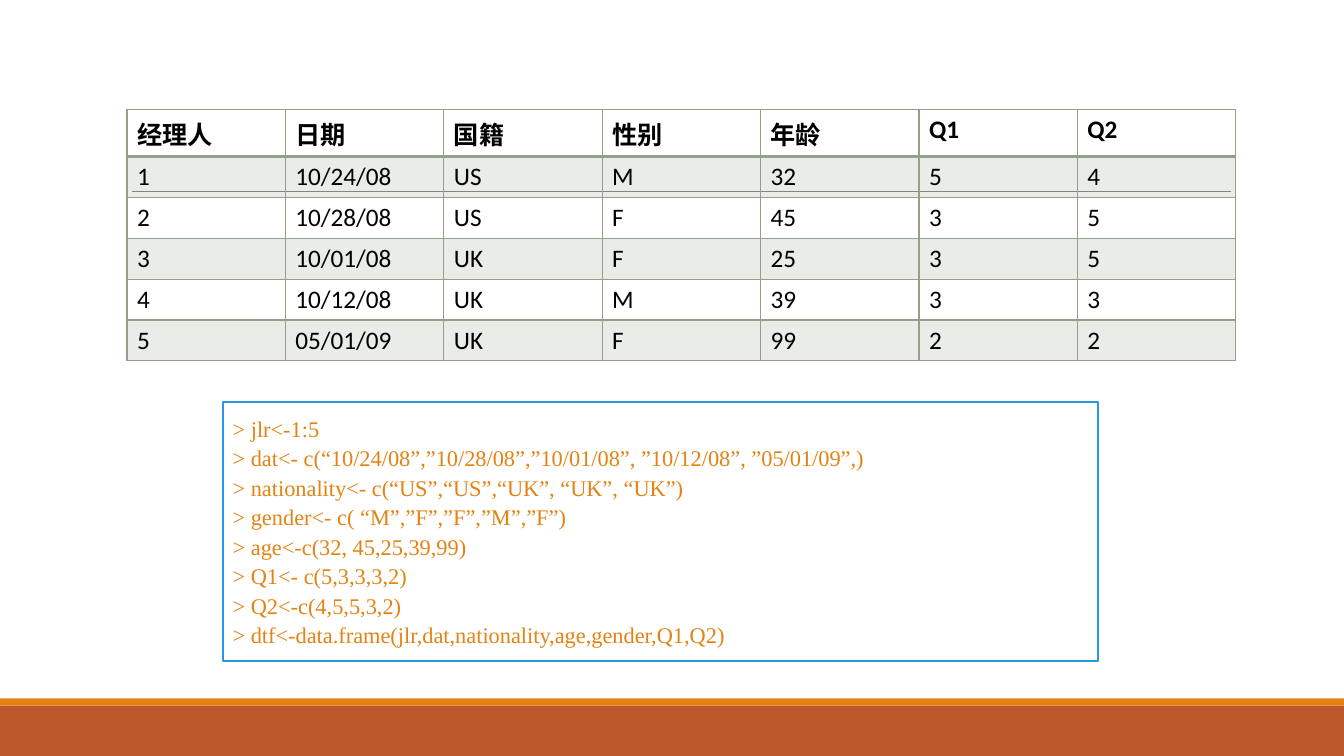
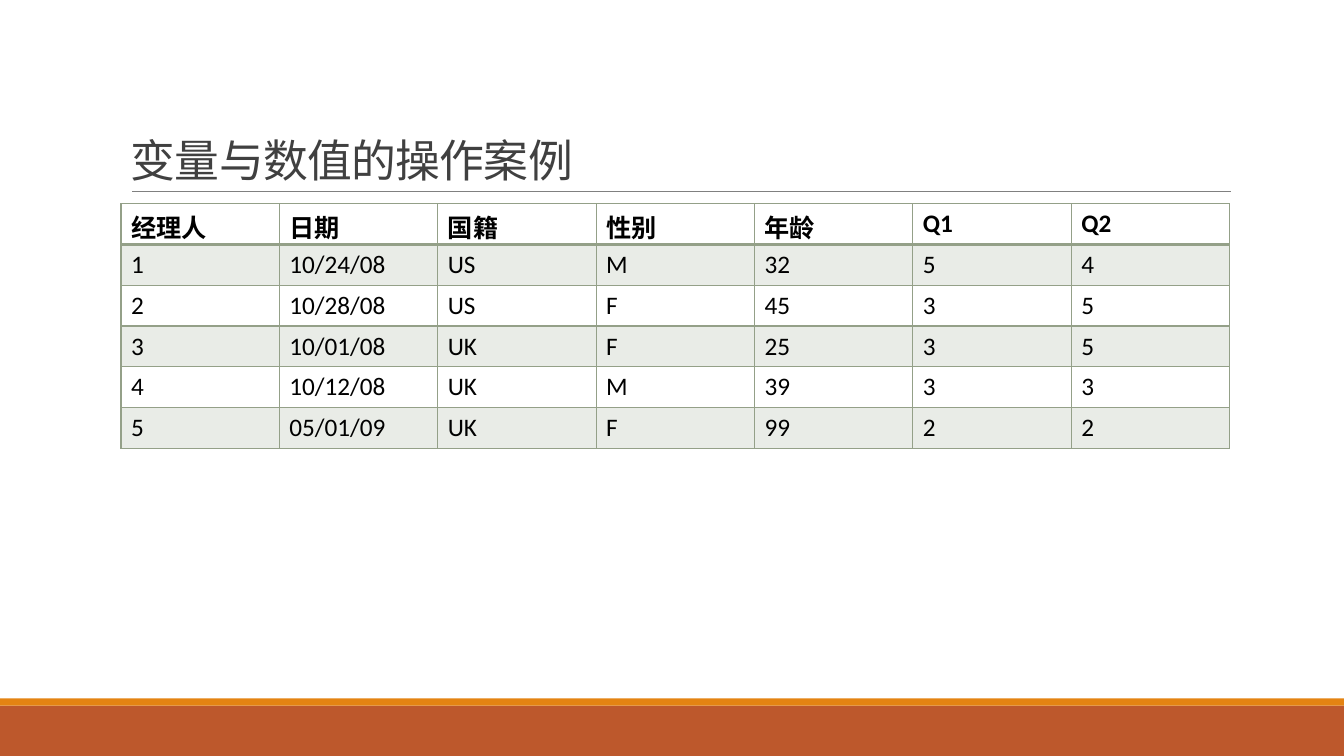
"""Build two slides on entering a small survey table in R."""
from dataclasses import dataclass
from typing import Any

from lxml import etree
from pptx import Presentation
from pptx.dml.color import RGBColor
from pptx.enum.shapes import MSO_CONNECTOR, MSO_SHAPE
from pptx.enum.text import MSO_ANCHOR, PP_ALIGN
from pptx.oxml.ns import qn
from pptx.util import Inches, Pt

RECTANGLE = MSO_SHAPE.RECTANGLE
STRAIGHT = MSO_CONNECTOR.STRAIGHT
TOP, BOTTOM = MSO_ANCHOR.TOP, MSO_ANCHOR.BOTTOM
LEFT = PP_ALIGN.LEFT

GRID_STEP = Inches(0.1)
SLIDE_COLUMNS, SLIDE_ROWS = 133.33, 75
BLANK_LAYOUT = 6
PLAIN_TABLE_STYLE = "{2D5ABB26-0587-4C30-8999-92F81FD0307C}"

RUST, ORANGE, SAGE, BLUE = "BD582C", "E48312", "94A088", "2998E3"
BLACK, CHARCOAL, GREY = "000000", "404040", "808080"
BODY_FONT, CODE_FONT = "Calibri", "Times New Roman"

SURVEY = (
    ("经理人", "日期", "国籍", "性别", "年龄", "Q1", "Q2"),
    ("1", "10/24/08", "US", "M", "32", "5", "4"),
    ("2", "10/28/08", "US", "F", "45", "3", "5"),
    ("3", "10/01/08", "UK", "F", "25", "3", "5"),
    ("4", "10/12/08", "UK", "M", "39", "3", "3"),
    ("5", "05/01/09", "UK", "F", "99", "2", "2"),
)
CODE = """> jlr<-1:5
> dat<- c(“10/24/08”,”10/28/08”,”10/01/08”, ”10/12/08”, ”05/01/09”,)
> nationality<- c(“US”,“US”,“UK”, “UK”, “UK”)
> gender<- c( “M”,”F”,”F”,”M”,”F”)
> age<-c(32, 45,25,39,99)
> Q1<- c(5,3,3,3,2)
> Q2<-c(4,5,5,3,2)
> dtf<-data.frame(jlr,dat,nationality,age,gender,Q1,Q2)"""


@dataclass(frozen=True)
class Area:
    """A rectangle measured in grid columns and rows."""

    column: float
    row: float
    columns: float
    rows: float

    def emu(self) -> tuple[int, int, int, int]:
        """Return left, top, width and height as slide lengths."""
        return (grid(self.column), grid(self.row),
                grid(self.columns), grid(self.rows))


@dataclass(frozen=True)
class Band:
    """A full-width coloured strip at the foot of the slide."""

    row: float
    rows: float
    colour: str


FOOTER_BANDS = (Band(70, 5, RUST), Band(69.3, 0.7, ORANGE))
TITLE_AREA = Area(12, 3.1, 110, 15.9)
CODE_AREA = Area(22.1, 39.9, 86.8, 25.7)
UPPER_TABLE = Area(12.6, 10.9, 110, 24.3)
LOWER_TABLE = Area(12, 20.2, 110, 24.3)


def grid(steps: float) -> int:
    """Convert grid steps to a slide length."""
    return round(steps * GRID_STEP)


def rgb(colour: str) -> RGBColor:
    """Convert a hex string to a colour."""
    return RGBColor.from_string(colour)


def write(frame: Any, text: str, *, size: float = 18, font: str = BODY_FONT,
          colour: str = BLACK, bold: bool = False, spacing: float | None = None,
          tracking: float = 0, anchor: Any = TOP) -> None:
    """Fill a text frame with one paragraph per line of text."""
    frame.word_wrap = True
    frame.vertical_anchor = anchor
    for index, line in enumerate(text.split("\n")):
        paragraph = frame.add_paragraph() if index else frame.paragraphs[0]
        paragraph.alignment = LEFT
        if spacing:
            paragraph.line_spacing = spacing
        run = paragraph.add_run()
        run.text = line
        run.font.size, run.font.name, run.font.bold = Pt(size), font, bold
        run.font.color.rgb = rgb(colour)
        if tracking:
            run.font._element.set("spc", str(round(tracking * 100)))


def add_rectangle(slide: Any, area: Area, fill: str | None = None,
                  outline: str | None = None) -> Any:
    """Draw a rectangle with an optional fill and outline."""
    rectangle = slide.shapes.add_shape(RECTANGLE, *area.emu())
    rectangle.shadow.inherit = False
    if fill:
        rectangle.fill.solid()
        rectangle.fill.fore_color.rgb = rgb(fill)
    else:
        rectangle.fill.background()
    if outline:
        rectangle.line.color.rgb = rgb(outline)
        rectangle.line.width = Pt(1.5)
    else:
        rectangle.line.fill.background()
    return rectangle


def add_base(deck: Any) -> Any:
    """Add a blank slide with the shared footer bands and title rule."""
    slide = deck.slides.add_slide(deck.slide_layouts[BLANK_LAYOUT])
    for band in FOOTER_BANDS:
        add_rectangle(slide, Area(0, band.row, SLIDE_COLUMNS, band.rows), band.colour)
    rule = slide.shapes.add_connector(
        STRAIGHT, grid(13.1), grid(19), grid(122.1), grid(19))
    rule.line.color.rgb = rgb(GREY)
    rule.line.width = Pt(0.5)
    etree.SubElement(rule._element.spPr, qn("a:effectLst"))
    return slide


def border_cell(cell: Any, bottom_width: float) -> None:
    """Give a cell its four sage borders."""
    properties = cell._tc.get_or_add_tcPr()
    widths = {"lnL": 1, "lnR": 1, "lnT": 1, "lnB": bottom_width}
    for position, (side, width) in enumerate(widths.items()):
        border = etree.Element(qn(f"a:{side}"), w=str(Pt(width)))
        fill = etree.SubElement(border, qn("a:solidFill"))
        etree.SubElement(fill, qn("a:srgbClr"), val=SAGE)
        properties.insert(position, border)


def tint_cell(cell: Any) -> None:
    """Give a cell a sage fill at one fifth opacity."""
    cell.fill.solid()
    cell.fill.fore_color.rgb = rgb(SAGE)
    tone = cell._tc.tcPr.find(f"{qn('a:solidFill')}/{qn('a:srgbClr')}")
    etree.SubElement(tone, qn("a:alpha"), val="20000")


def add_survey(slide: Any, area: Area) -> None:
    """Draw the survey table with a bold header and tinted odd rows."""
    row_count, column_count = len(SURVEY), len(SURVEY[0])
    table = slide.shapes.add_table(row_count, column_count, *area.emu()).table
    table.horz_banding = False
    table.first_row = False
    table._tbl.tblPr.find(qn("a:tableStyleId")).text = PLAIN_TABLE_STYLE
    for column in table.columns:
        column.width = grid(area.columns / column_count)
    for row_index, record in enumerate(SURVEY):
        table.rows[row_index].height = grid(area.rows / row_count)
        header = row_index == 0
        for column_index, value in enumerate(record):
            cell = table.cell(row_index, column_index)
            write(cell.text_frame, value, bold=header)
            if row_index % 2:
                tint_cell(cell)
            else:
                cell.fill.background()
            border_cell(cell, 2 if header else 1)


def add_code(slide: Any) -> None:
    """Draw the outlined box of R commands."""
    frame = add_rectangle(slide, CODE_AREA, outline=BLUE).text_frame
    frame.margin_left = frame.margin_right = grid(1)
    frame.margin_top = frame.margin_bottom = grid(1)
    write(frame, CODE, size=16, font=CODE_FONT, colour=ORANGE, spacing=1.1)


def add_title(slide: Any, text: str) -> None:
    """Write the slide title just above the rule."""
    title = slide.shapes.add_textbox(*TITLE_AREA.emu())
    write(title.text_frame, text, size=32, colour=CHARCOAL, spacing=0.85,
          tracking=-0.5, anchor=BOTTOM)


def main() -> None:
    """Build and save the presentation."""
    deck = Presentation()
    deck.slide_width, deck.slide_height = grid(SLIDE_COLUMNS), grid(SLIDE_ROWS)

    entry_slide = add_base(deck)
    add_survey(entry_slide, UPPER_TABLE)
    add_code(entry_slide)

    case_slide = add_base(deck)
    add_title(case_slide, "变量与数值的操作案例")
    add_survey(case_slide, LOWER_TABLE)

    deck.save("out.pptx")


if __name__ == "__main__":
    main()
